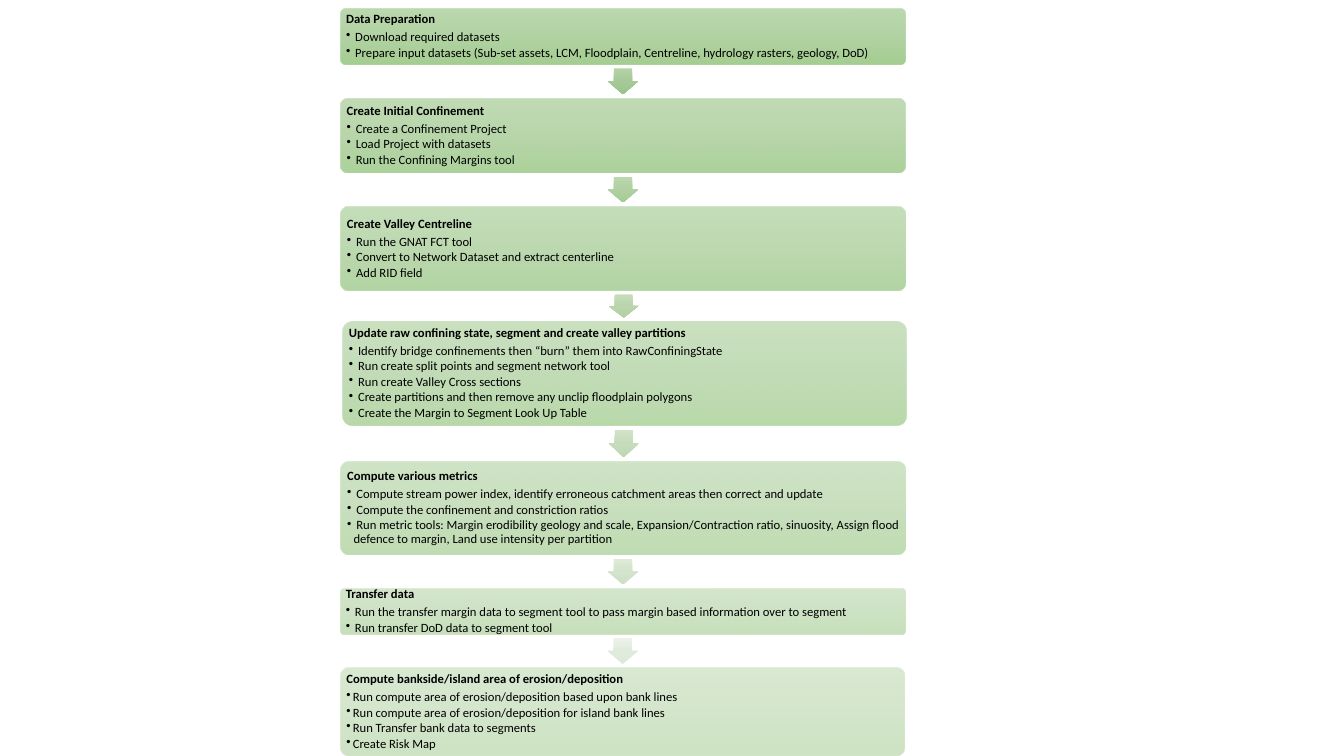
from dataclasses import dataclass
from itertools import pairwise
from math import atan2, degrees

from lxml.etree import SubElement
from pptx import Presentation
from pptx.dml.color import RGBColor
from pptx.enum.shapes import MSO_SHAPE
from pptx.enum.text import MSO_ANCHOR, PP_ALIGN
from pptx.oxml.ns import qn
from pptx.util import Pt


@dataclass(frozen=True)
class Theme:
    font: str = "Calibri"
    size: float = 9
    ink: str = "000000"
    step_fill: tuple = ("B5D5A7", "AACE9A", "9CC987")
    arrow_fills: tuple = (
        ("B3D3A5", "A7C999", "99C486"),
        ("BBD7AE", "B0D0A1", "A4CC90"),
        ("C5DCBA", "BAD5AD", "B0D2A0"),
        ("D1E3C8", "C6DCBC", "BED8B2"),
        ("DDEAD8", "D3E3CC", "CDE0C5"),
        ("EBF2E8", "E1EBDD", "DDE9D8"),
    )
    first_opacity: float = 90
    last_opacity: float = 50


theme = Theme()
STEP_WIDTH = 403.2
INSET = 2.7
HANG = 4.5
ARROW_BREADTH = 21.6
ARROW_SHARE = 0.75  # part of the gap that an arrow fills

# left, top, height, title, bullet lines
steps = [
    (243.4, 6.3, 39.6, "Data Preparation", [
        " Download required datasets",
        " Prepare input datasets (Sub-set assets, LCM, Floodplain, Centreline, "
        "hydrology rasters, geology, DoD)"]),
    (243.4, 70.4, 52.9, "Create Initial Confinement", [
        " Create a Confinement Project",
        " Load Project with datasets",
        " Run the Confining Margins tool"]),
    (243.4, 147.6, 60, "Create Valley Centreline", [
        " Run the GNAT FCT tool",
        " Convert to Network Dataset and extract centerline",
        " Add RID field"]),
    (244.4, 229.6, 74, "Update raw confining state, segment and create valley partitions", [
        " Identify bridge confinements then “burn” them into RawConfiningState",
        " Run create split points and segment network tool",
        " Run create Valley Cross sections",
        " Create partitions and then remove any unclip floodplain polygons",
        " Create the Margin to Segment Look Up Table"]),
    (243.4, 329.8, 66.4, "Compute various metrics", [
        " Compute stream power index, identify erroneous catchment areas then correct and update",
        " Compute the confinement and constriction ratios",
        " Run metric tools: Margin erodibility geology and scale, Expansion/Contraction ratio, "
        "sinuosity, Assign flood defence to margin, Land use intensity per partition"]),
    (243.4, 420.4, 32.4, "Transfer data", [
        " Run the transfer margin data to segment tool to pass margin based information "
        "over to segment",
        " Run transfer DoD data to segment tool"]),
    (243, 477, 62.8, "Compute bankside/island area of erosion/deposition", [
        "Run compute area of erosion/deposition based upon bank lines",
        "Run compute area of erosion/deposition for island bank lines",
        "Run Transfer bank data to segments",
        "Create Risk Map"]),
]


def shade(shape, colours, opacity=100):
    """Fill a shape with a downward gradient, without line or shadow."""
    shape.shadow.inherit = False
    shape.line.fill.background()
    shape.fill.gradient()
    shape.fill.gradient_angle = 270
    gradient = shape._element.spPr.find(qn("a:gradFill"))
    gradient.set("rotWithShape", "0")
    stops = gradient.find(qn("a:gsLst"))
    stops.clear()
    for place, colour in zip((0, 50, 100), colours):
        stop = SubElement(stops, qn("a:gs"), pos=str(place * 1000))
        tint = SubElement(stop, qn("a:srgbClr"), val=colour)
        if opacity < 100:
            SubElement(tint, qn("a:alpha"), val=str(round(opacity) * 1000))


def write_step(box, title, lines):
    """Write a bold title and its bulleted lines into a step box."""
    frame = box.text_frame
    frame.word_wrap = True
    frame.vertical_anchor = MSO_ANCHOR.MIDDLE
    frame.margin_left = frame.margin_right = Pt(INSET)
    frame.margin_top = frame.margin_bottom = Pt(INSET)
    frame.text = "\n".join([title, *lines])
    for number, para in enumerate(frame.paragraphs):
        is_title = number == 0
        para.alignment = PP_ALIGN.LEFT
        para.line_spacing = 0.9
        para.space_after = Pt(theme.size * (0.35 if is_title else 0.15))
        if not is_title:
            para.level = 1
            properties = para._p.get_or_add_pPr()
            properties.set("marL", str(Pt(HANG)))
            properties.set("indent", str(-Pt(HANG)))
            SubElement(properties, qn("a:buChar"), char="•")
        for span in para.runs:
            span.font.name = theme.font
            span.font.size = Pt(theme.size)
            span.font.bold = is_title
            span.font.color.rgb = RGBColor.from_string(theme.ink)


deck = Presentation()
deck.slide_width, deck.slide_height = Pt(960), Pt(540)
page = deck.slides.add_slide(deck.slide_layouts[6])

fade = (theme.first_opacity - theme.last_opacity) / (len(steps) - 1)
for number, (left, top, height, title, lines) in enumerate(steps):
    box = page.shapes.add_shape(
        MSO_SHAPE.ROUNDED_RECTANGLE, Pt(left), Pt(top), Pt(STEP_WIDTH), Pt(height))
    box.adjustments[0] = 0.1
    shade(box, theme.step_fill, theme.first_opacity - number * fade)
    write_step(box, title, lines)

# Each arrow sits in the middle of a gap and points from step to step.
for (upper, lower), colours in zip(pairwise(steps), theme.arrow_fills):
    upper_left, upper_top, upper_height = upper[:3]
    lower_left, lower_top, lower_height = lower[:3]
    upper_bottom = upper_top + upper_height
    length = (lower_top - upper_bottom) * ARROW_SHARE
    center_x = (upper_left + lower_left + STEP_WIDTH) / 2
    center_y = (upper_bottom + lower_top) / 2
    fall = lower_top + lower_height / 2 - upper_top - upper_height / 2
    arrow = page.shapes.add_shape(
        MSO_SHAPE.RIGHT_ARROW, Pt(center_x - length / 2), Pt(center_y - ARROW_BREADTH / 2),
        Pt(length), Pt(ARROW_BREADTH))
    arrow.adjustments[0], arrow.adjustments[1] = 0.6, 0.5
    arrow.rotation = degrees(atan2(fall, lower_left - upper_left))
    shade(arrow, colours)

deck.save("out.pptx")
